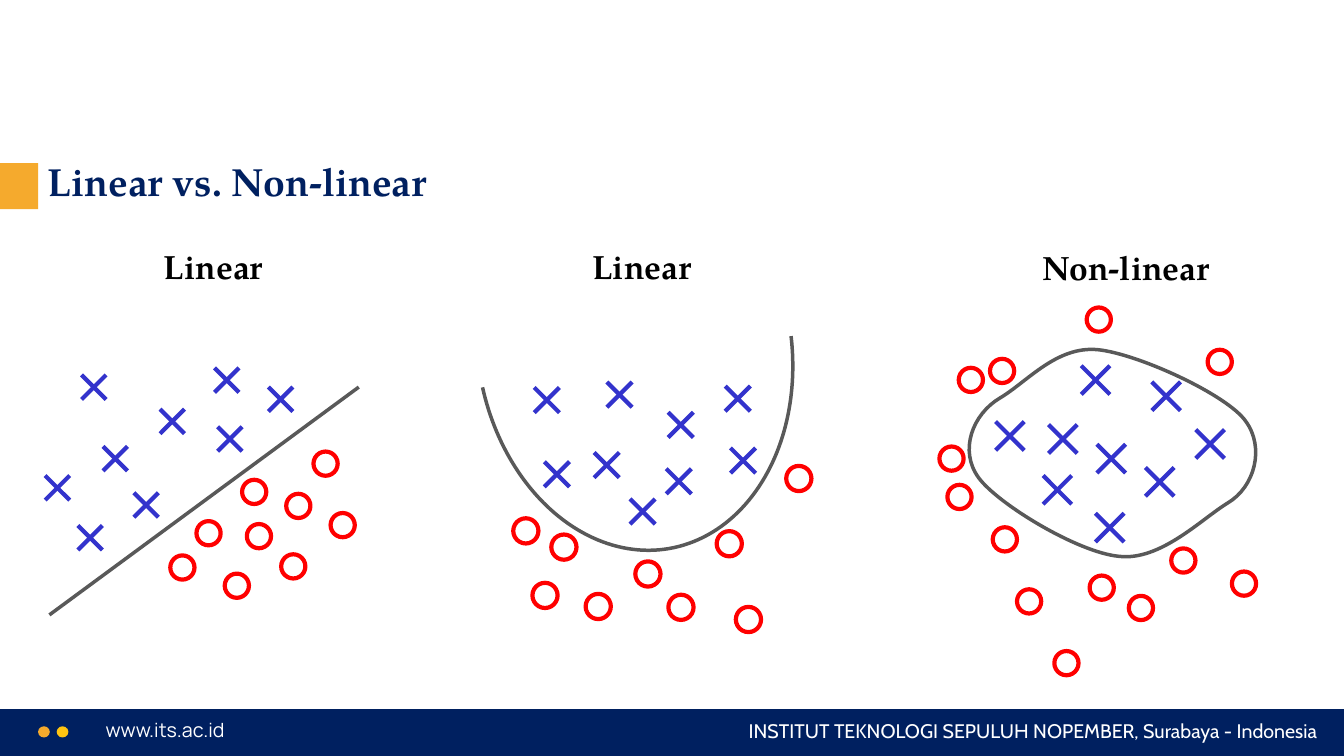
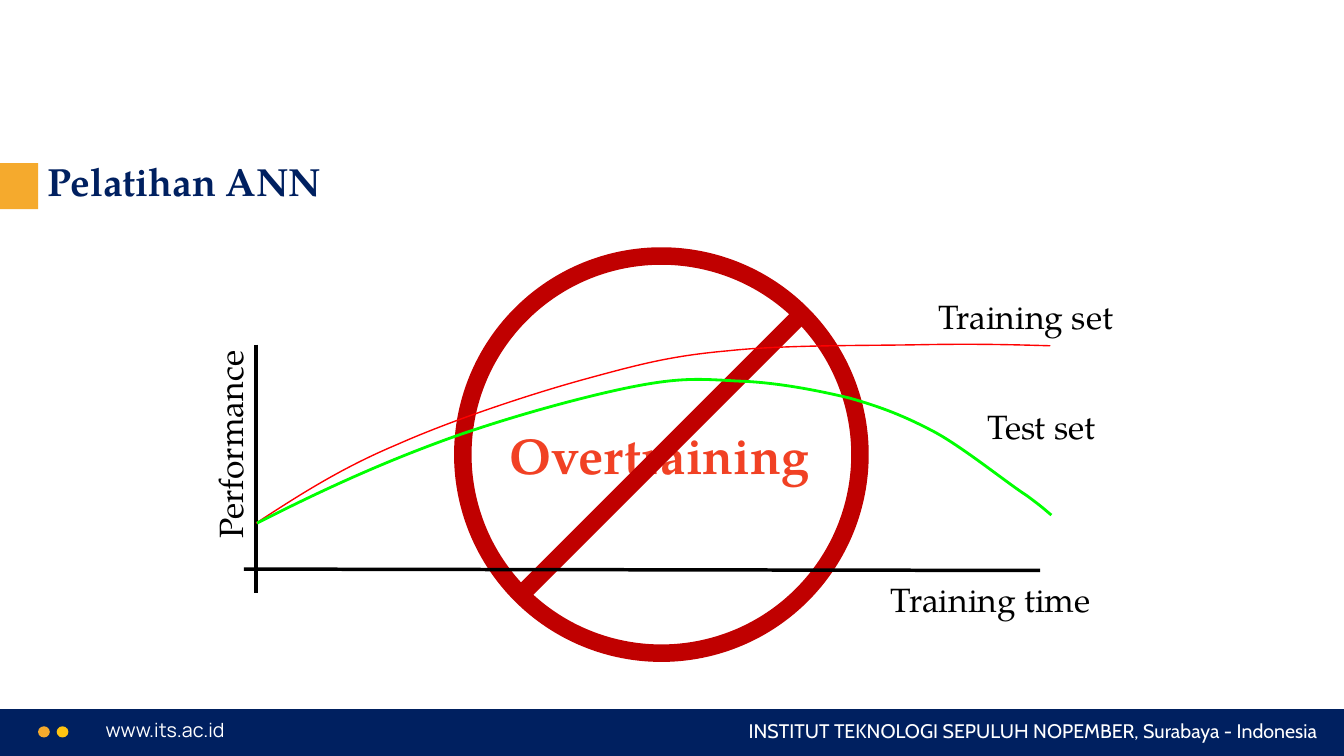
from lxml import etree
from pptx import Presentation
from pptx.dml.color import RGBColor
from pptx.enum.shapes import MSO_CONNECTOR, MSO_SHAPE
from pptx.enum.text import MSO_ANCHOR, PP_ALIGN
from pptx.oxml.ns import qn
from pptx.util import Pt

OVAL, RECT, ARC = MSO_SHAPE.OVAL, MSO_SHAPE.RECTANGLE, MSO_SHAPE.ARC
LINE = MSO_CONNECTOR.STRAIGHT
LEFT, RIGHT = PP_ALIGN.LEFT, PP_ALIGN.RIGHT
TOP, MID = MSO_ANCHOR.TOP, MSO_ANCHOR.MIDDLE
hue = RGBColor.from_string

NAVY, GOLD, SUN, WHITE, BLACK = "002060", "F5AA2D", "FFC411", "FFFFFF", "000000"
RED, BLUE, GREY, GREEN = "FF0000", "3333CC", "595959", "00FF00"
BRICK, CORAL = "C00000", "F14124"
SERIF = "TeX Gyre Pagella"
TITLE = {"name": SERIF, "size": Pt(28), "bold": True}
HEAD = {"name": SERIF, "size": Pt(24), "bold": True}
LABEL = {"name": SERIF, "size": Pt(24)}
ALERT = {"name": SERIF, "size": Pt(36), "bold": True}
SITE = {"name": "Manrope", "size": Pt(14)}
SCHOOL = {"name": "Cabin", "size": Pt(14)}


def draw(slide, kind, box, fill=None, line=None, width=0):
    shape = slide.shapes.add_shape(kind, *map(Pt, box))
    shape.shadow.inherit = False
    for part, tint in ((shape.fill, fill), (shape.line.fill, line)):
        if tint:
            part.solid()
            part.fore_color.rgb = hue(tint)
        else:
            part.background()
    if line:
        shape.line.width = Pt(width)
    return shape


def write(slide, box, text, font, tint=BLACK, align=LEFT, anchor=TOP):
    shape = slide.shapes.add_textbox(*map(Pt, box))
    frame = shape.text_frame
    frame.word_wrap = True
    frame.vertical_anchor = anchor
    para = frame.paragraphs[0]
    para.alignment = align
    run = para.add_run()
    run.text = text
    for key, value in font.items():
        setattr(run.font, key, value)
    run.font.color.rgb = hue(tint)
    return shape


deck = Presentation()
deck.slide_width, deck.slide_height = Pt(960), Pt(540)
blank = deck.slide_layouts[6]
slides = []
for title in ("Linear vs. Non-linear", "Pelatihan ANN"):
    slide = deck.slides.add_slide(blank)
    slides.append(slide)
    draw(slide, RECT, (0, 506.6, 960, 33.4), NAVY)
    write(slide, (68.4, 509.6, 308, 24.5), "www.its.ac.id", SITE, WHITE)
    for left, tint in ((27.2, GOLD), (40.5, SUN)):
        draw(slide, OVAL, (left, 518.8, 8.4, 8), tint)
    write(slide, (425.5, 509.8, 522.7, 24.5),
          "INSTITUT TEKNOLOGI SEPULUH NOPEMBER, Surabaya - Indonesia",
          SCHOOL, WHITE, RIGHT)
    draw(slide, RECT, (0, 116.5, 27.2, 33), GOLD)
    head = write(slide, (27.2, 100.8, 904.3, 61.2), title, TITLE, NAVY, LEFT, MID)
    head.text_frame.paragraphs[0].line_spacing = 0.9
first, last = slides

panels = [
    ("Linear", 110, 172, 17.3, 17.5,
     [(213.1, 361.4), (130.3, 405.4), (185, 383), (149, 380.9), (232.6, 331.2),
      (181.6, 351.4), (169.2, 418.4), (209.5, 404.6), (244.8, 375.1)],
     [(82.4, 327.6), (64.4, 384.1), (41, 348.5), (162, 271.5), (164.2, 313.6),
      (104.4, 360.7), (200.5, 285.2), (123.1, 301), (67, 276.6)]),
    ("Linear", 416, 172, 18, 18,
     [(486.4, 433.8), (520.9, 388.4), (427.3, 433.2), (402.8, 390.8),
      (534.6, 442.5), (389.3, 425.3), (462.8, 410), (570.6, 341.8),
      (375.6, 379.2)],
     [(397.8, 338.8), (442.5, 281.9), (433.4, 332.2), (527, 284.8),
      (484.9, 343.8), (486.3, 303.5), (530.8, 329), (459, 365.4),
      (390.6, 285.8)]),
    ("Non-linear", 737.3, 172.8, 17.3, 20.5,
     [(845.3, 400.4), (787, 419.8), (761.8, 473.7), (717.8, 385.3),
      (735.1, 429.6), (685.4, 355), (784.9, 228.3), (715.8, 265),
      (693.5, 271.4), (815, 434.3), (679.7, 327.6), (888.6, 416.9),
      (871.3, 258.5)],
     [(793.8, 327.6), (759.2, 313.6), (755.3, 349.9), (792.7, 376.9),
      (828.4, 344.2), (833, 283), (721.4, 311.4), (782.6, 271.5),
      (864.4, 317.2)]),
]
lines = [(first, 256.3, 276.5, 35.3, 439.2, GREY, 2.5)]
for name, left, top, size, span, rings, marks in panels:
    write(first, (left, top, 145, 36), name, HEAD)
    for x, y in rings:
        draw(first, OVAL, (x - size / 2, y - size / 2, size, size), None, RED, 3)
    half = span / 2
    for x, y in marks:
        for rise in (half, -half):
            lines.append((first, x - half, y - rise, x + half, y + rise, BLUE, 3))

bowl = draw(first, ARC, (341.3, 103.7, 223.9, 290.2), None, GREY, 2.5)
bowl.adjustments[0], bowl.adjustments[1] = 111.195, 213.256
bowl.rotation = 170.2

write(last, (357.1, 299.5, 236, 51), "Overtraining", ALERT, CORAL)
draw(last, OVAL, (330.6, 182.9, 283.7, 283.7), None, BRICK, 12.5)
lines += [
    (last, 572.4, 224.6, 372.2, 424.8, BRICK, 12.5),
    (last, 182.9, 246.2, 182.9, 423.4, BLACK, 2.5),
    (last, 174.2, 406.5, 743, 407.5, BLACK, 2.5),
]
for slide, x1, y1, x2, y2, tint, width in lines:
    line = slide.shapes.add_connector(LINE, Pt(x1), Pt(y1), Pt(x2), Pt(y2))
    line.line.color.rgb = hue(tint)
    line.line.width = Pt(width)
    etree.SubElement(line._element.spPr, qn("a:effectLst"))

curves = [
    (first, GREY, 2.5, True, (691.9, 249.8, 204.5, 148.3),
     [(699.1, 341.3), (684.7, 321.8), (694.8, 295.9), (714.2, 284.4),
      (733.7, 272.9), (754.6, 247), (784.1, 249.8), (812.9, 252.7),
      (877, 282.2), (889.9, 301), (903.6, 319.7), (896.4, 347.8),
      (877, 359.3), (858.2, 370.8), (828.7, 401), (799.2, 397.4),
      (769.7, 394.6), (712.8, 360), (699.1, 341.3)]),
    (last, RED, 1, False, (182.9, 245.9, 567.3, 127.8),
     [(182.9, 373.7), (213.8, 353.5), (244.1, 334.1), (283.7, 317.5),
      (322.6, 300.2), (378.7, 281.5), (418.3, 270.7), (457.9, 259.9),
      (479.5, 254.2), (519.8, 250.6), (560.2, 246.2), (620.6, 247),
      (658.8, 246.2), (697.7, 245.5), (723.6, 246.2), (750.2, 247)]),
    (last, GREEN, 2, False, (183.6, 270.2, 567.4, 103.5),
     [(183.6, 373.7), (224.6, 352.8), (266.4, 333.4), (311, 316.8),
      (355, 300.2), (414.7, 283.7), (450.7, 276.5), (486.7, 269.3),
      (500.4, 270.7), (527, 272.2), (553, 272.9), (583.2, 278.6),
      (607, 284.4), (630, 290.9), (646.6, 297.4), (668.2, 308.9),
      (689, 320.4), (719.3, 344.9), (733.7, 354.2), (747.4, 364.3),
      (748.1, 365.8), (751, 367.9)]),
]
for slide, tint, width, closed, (left, top, wide, high), knots in curves:
    pen = slide.shapes.build_freeform(Pt(left), Pt(top))
    pen.add_line_segments([(Pt(left + wide), Pt(top + high))], close=False)
    curve = pen.convert_to_shape()
    curve.shadow.inherit = False
    curve.fill.background()
    curve.line.color.rgb = hue(tint)
    curve.line.width = Pt(width)
    track = curve._element.find(".//" + qn("a:path"))
    for node in list(track):
        track.remove(node)
    for i, (x, y) in enumerate(knots):
        if i % 3 == 1:
            step = etree.SubElement(track, qn("a:cubicBezTo"))
        elif i == 0:
            step = etree.SubElement(track, qn("a:moveTo"))
        etree.SubElement(step, qn("a:pt"), x=str(Pt(x - left)), y=str(Pt(y - top)))
    if closed:
        etree.SubElement(track, qn("a:close"))

for text, left, top, wide, turn in (
    ("Training set", 663.2, 208.1, 146.2, 0),
    ("Test set", 698.4, 286.6, 111.6, 0),
    ("Performance", 81, 290.2, 167, 270),
    ("Training time", 629.3, 409.7, 180, 0),
):
    write(last, (left, top, wide, 36), text, LABEL).rotation = turn

deck.save("out.pptx")
